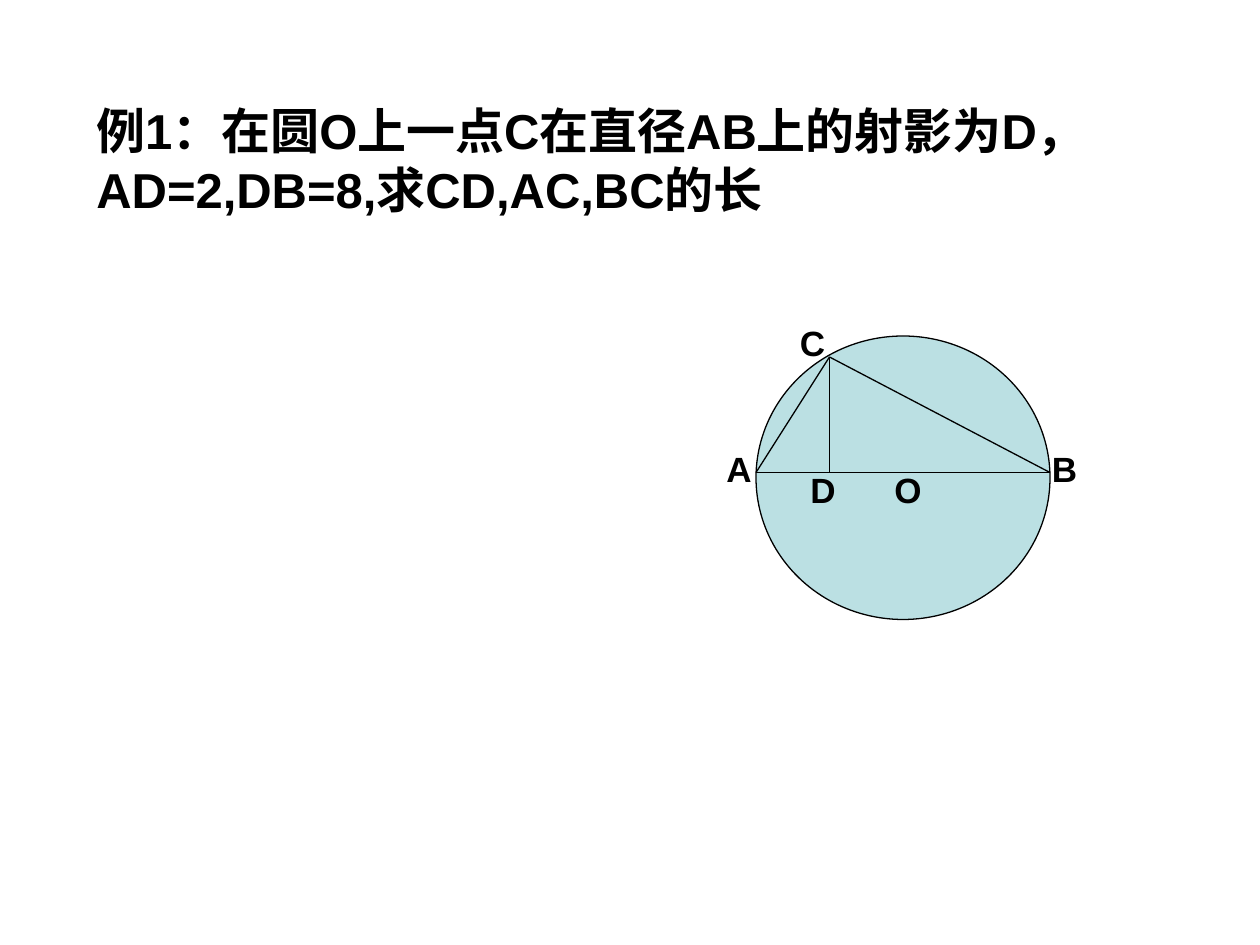
from pptx import Presentation
from pptx.dml.color import RGBColor
from pptx.enum.shapes import MSO_CONNECTOR, MSO_SHAPE
from pptx.enum.text import MSO_AUTO_SIZE
from pptx.oxml.ns import qn
from pptx.util import Emu, Pt
from lxml.etree import SubElement

PX = 9525
BLACK, PALE_TEAL = "000000", "BBE0E3"
LINE_WIDTH = Pt(0.75)


def px(*lengths):
    return [Emu(length * PX) for length in lengths]


def color(hex_code):
    return RGBColor.from_string(hex_code)


def add_text(shapes, box, text, size):
    frame = shapes.add_textbox(*px(*box)).text_frame
    frame.word_wrap = True
    frame.auto_size = MSO_AUTO_SIZE.SHAPE_TO_FIT_TEXT
    span = frame.paragraphs[0].add_run()
    span.text = text
    for name, value in {"name": "Arial", "size": Pt(size), "bold": True}.items():
        setattr(span.font, name, value)
    span.font.color.rgb = color(BLACK)


def style_line(line):
    line.color.rgb = color(BLACK)
    line.width = LINE_WIDTH


def add_circle(shapes, box):
    circle = shapes.add_shape(MSO_SHAPE.OVAL, *px(*box))
    circle.shadow.inherit = False
    circle.fill.solid()
    circle.fill.fore_color.rgb = color(PALE_TEAL)
    style_line(circle.line)


def add_segment(shapes, start, end):
    segment = shapes.add_connector(MSO_CONNECTOR.STRAIGHT, *px(*start, *end))
    style_line(segment.line)
    SubElement(segment._element.spPr, qn("a:effectLst"))


def add_figure(page, left, top):
    """Circle with diameter AB, point C and its projection D."""
    shapes = page.shapes.add_group_shape().shapes

    def place(x, y):
        return left + x, top + y

    add_circle(shapes, (*place(32, 16), 224, 216))
    points = {"A": (32, 120), "B": (256, 120), "C": (88, 32), "D": (88, 120)}
    for start, end in ("AB", "CA", "CB", "CD"):
        add_segment(shapes, place(*points[start]), place(*points[end]))

    labels = {"C": (56, 0), "A": (0, 96), "D": (64, 112),
              "B": (248, 96), "O": (128, 112)}
    for letter, corner in labels.items():
        add_text(shapes, (*place(*corner), 72, 42), letter, 20)


def main():
    deck = Presentation()
    deck.slide_width, deck.slide_height = px(960, 720)
    page = deck.slides.add_slide(deck.slide_layouts[6])
    add_text(page.shapes, (64, 72, 816, 100),
             "例1：在圆O上一点C在直径AB上的射影为D，AD=2,DB=8,求CD,AC,BC的长", 28)
    add_figure(page, 544, 240)
    deck.save("out.pptx")


if __name__ == "__main__":
    main()
